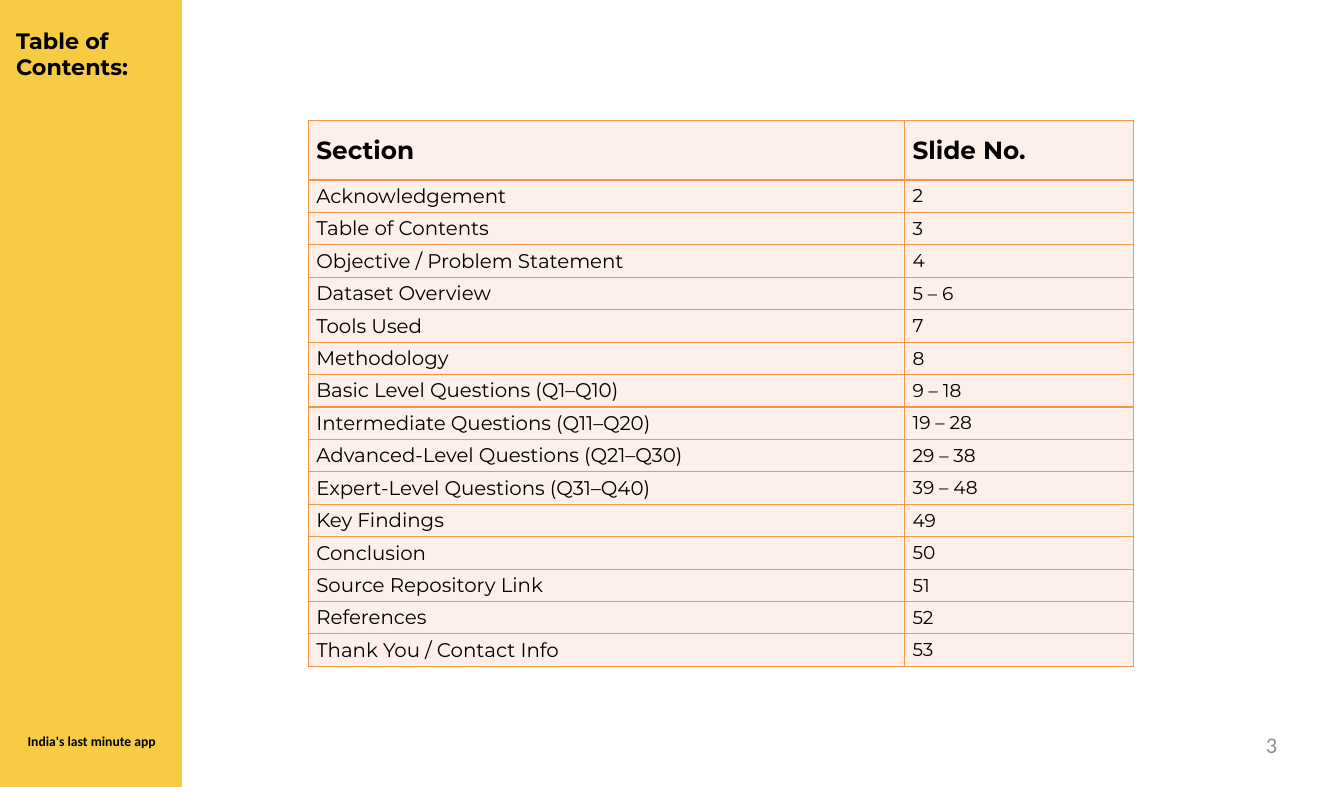
import dataclasses

import lxml.etree
import pptx
import pptx.dml.color
import pptx.enum.shapes
import pptx.enum.text
import pptx.oxml.ns
import pptx.util

Inches = pptx.util.Inches
Pt = pptx.util.Pt
Align = pptx.enum.text.PP_ALIGN
Anchor = pptx.enum.text.MSO_ANCHOR

HEADING = "Table of\nContents:"
TAGLINE = "India's last minute app"
PAGE_NUMBER = "3"
CONTENTS = [
    ("Section", "Slide No."),
    ("Acknowledgement", "2"),
    ("Table of Contents", "3"),
    ("Objective / Problem Statement", "4"),
    ("Dataset Overview", "5 – 6"),
    ("Tools Used", "7"),
    ("Methodology", "8"),
    ("Basic Level Questions (Q1–Q10)", "9 – 18"),
    ("Intermediate Questions (Q11–Q20)", "19 – 28"),
    ("Advanced-Level Questions (Q21–Q30)", "29 – 38"),
    ("Expert-Level Questions (Q31–Q40)", "39 – 48"),
    ("Key Findings", "49"),
    ("Conclusion", "50"),
    ("Source Repository Link", "51"),
    ("References", "52"),
    ("Thank You / Contact Info", "53"),
]


@dataclasses.dataclass(frozen=True)
class Theme:
    sidebar: str = "F8CB45"
    ink: str = "000000"
    muted: str = "8C8C8C"
    cell: str = "FDEFE9"
    border: str = "F79646"
    main_font: str = "Montserrat"
    small_font: str = "Calibri"
    heading_size: int = 18
    tagline_size: int = 11
    header_size: int = 20
    section_size: int = 16
    number_size: int = 15
    page_size: int = 18


THEME = Theme()
SLIDE_WIDTH, SLIDE_HEIGHT = 15.08, 8.83
TABLE_LEFT, TABLE_TOP, TABLE_HEIGHT = 3.46, 1.35, 6.13
COLUMN_WIDTHS = (6.69, 2.57)
HEADER_HEIGHT = 0.67


def rgb(code):
    return pptx.dml.color.RGBColor.from_string(code)


def style(paragraph, font, size, color=THEME.ink, bold=False):
    for run in paragraph.runs:
        run.font.name = font
        run.font.size = Pt(size)
        run.font.color.rgb = rgb(color)
        run.font.bold = bold


def set_margins(box, left, top, right, bottom):
    box.margin_left, box.margin_top = Inches(left), Inches(top)
    box.margin_right, box.margin_bottom = Inches(right), Inches(bottom)


def add_line(slide, text, left, top, width, height, align):
    frame = slide.shapes.add_textbox(
        Inches(left), Inches(top), Inches(width), Inches(height)).text_frame
    frame.word_wrap = True
    set_margins(frame, 0, 0, 0, 0)
    frame.text = text
    line = frame.paragraphs[0]
    line.alignment = align
    return line


def add_sidebar(slide):
    sidebar = slide.shapes.add_shape(
        pptx.enum.shapes.MSO_SHAPE.RECTANGLE, 0, 0, Inches(2.04), Inches(SLIDE_HEIGHT))
    sidebar.fill.solid()
    sidebar.fill.fore_color.rgb = rgb(THEME.sidebar)
    sidebar.line.fill.background()
    sidebar.shadow.inherit = False
    slide.shapes.title.element.addprevious(sidebar.element)


def fill_heading(slide):
    heading = slide.shapes.title
    heading.left, heading.top = Inches(0.08), Inches(0.25)
    heading.width, heading.height = Inches(2.71), Inches(0.71)
    frame = heading.text_frame
    frame.text = HEADING
    frame.word_wrap = True
    frame.auto_size = pptx.enum.text.MSO_AUTO_SIZE.NONE
    frame.vertical_anchor = Anchor.TOP
    set_margins(frame, 0.1, 0.05, 0.1, 0.05)
    for line in frame.paragraphs:
        line.alignment = Align.LEFT
        style(line, THEME.main_font, THEME.heading_size, bold=True)


def add_tagline(slide):
    tagline = add_line(slide, TAGLINE, 0.27, 8.22, 1.52, 0.19, Align.CENTER)
    style(tagline, THEME.small_font, THEME.tagline_size, bold=True)


def add_borders(cell):
    qn = pptx.oxml.ns.qn
    properties = cell._tc.get_or_add_tcPr()
    for side in ("a:lnL", "a:lnR", "a:lnT", "a:lnB"):
        edge = lxml.etree.SubElement(properties, qn(side), w=str(Pt(1)))
        solid = lxml.etree.SubElement(edge, qn("a:solidFill"))
        lxml.etree.SubElement(solid, qn("a:srgbClr"), val=THEME.border)


def add_contents(slide):
    table = slide.shapes.add_table(
        len(CONTENTS), len(COLUMN_WIDTHS), Inches(TABLE_LEFT), Inches(TABLE_TOP),
        Inches(sum(COLUMN_WIDTHS)), Inches(TABLE_HEIGHT)).table
    table.horz_banding = False
    for column, width in zip(table.columns, COLUMN_WIDTHS):
        column.width = Inches(width)
    entry_height = (TABLE_HEIGHT - HEADER_HEIGHT) / (len(CONTENTS) - 1)
    entry_sizes = (THEME.section_size, THEME.number_size)
    for index, entry in enumerate(CONTENTS):
        is_header = index == 0
        table.rows[index].height = Inches(HEADER_HEIGHT if is_header else entry_height)
        for column, (label, entry_size) in enumerate(zip(entry, entry_sizes)):
            cell = table.cell(index, column)
            cell.text_frame.text = label
            cell.vertical_anchor = Anchor.MIDDLE
            set_margins(cell, 0.09, 0.04, 0.09, 0.04)
            add_borders(cell)
            cell.fill.solid()
            cell.fill.fore_color.rgb = rgb(THEME.cell)
            style(cell.text_frame.paragraphs[0], THEME.main_font,
                  THEME.header_size if is_header else entry_size, bold=is_header)


def add_page_number(slide):
    number = add_line(slide, PAGE_NUMBER, 10.86, 8.21, 3.47, 0.44, Align.RIGHT)
    style(number, THEME.small_font, THEME.page_size, THEME.muted)


def main():
    deck = pptx.Presentation()
    deck.slide_width, deck.slide_height = Inches(SLIDE_WIDTH), Inches(SLIDE_HEIGHT)
    slide = deck.slides.add_slide(deck.slide_layouts.get_by_name("Title Only"))
    add_sidebar(slide)
    fill_heading(slide)
    add_tagline(slide)
    add_contents(slide)
    add_page_number(slide)
    deck.save("out.pptx")


if __name__ == "__main__":
    main()
